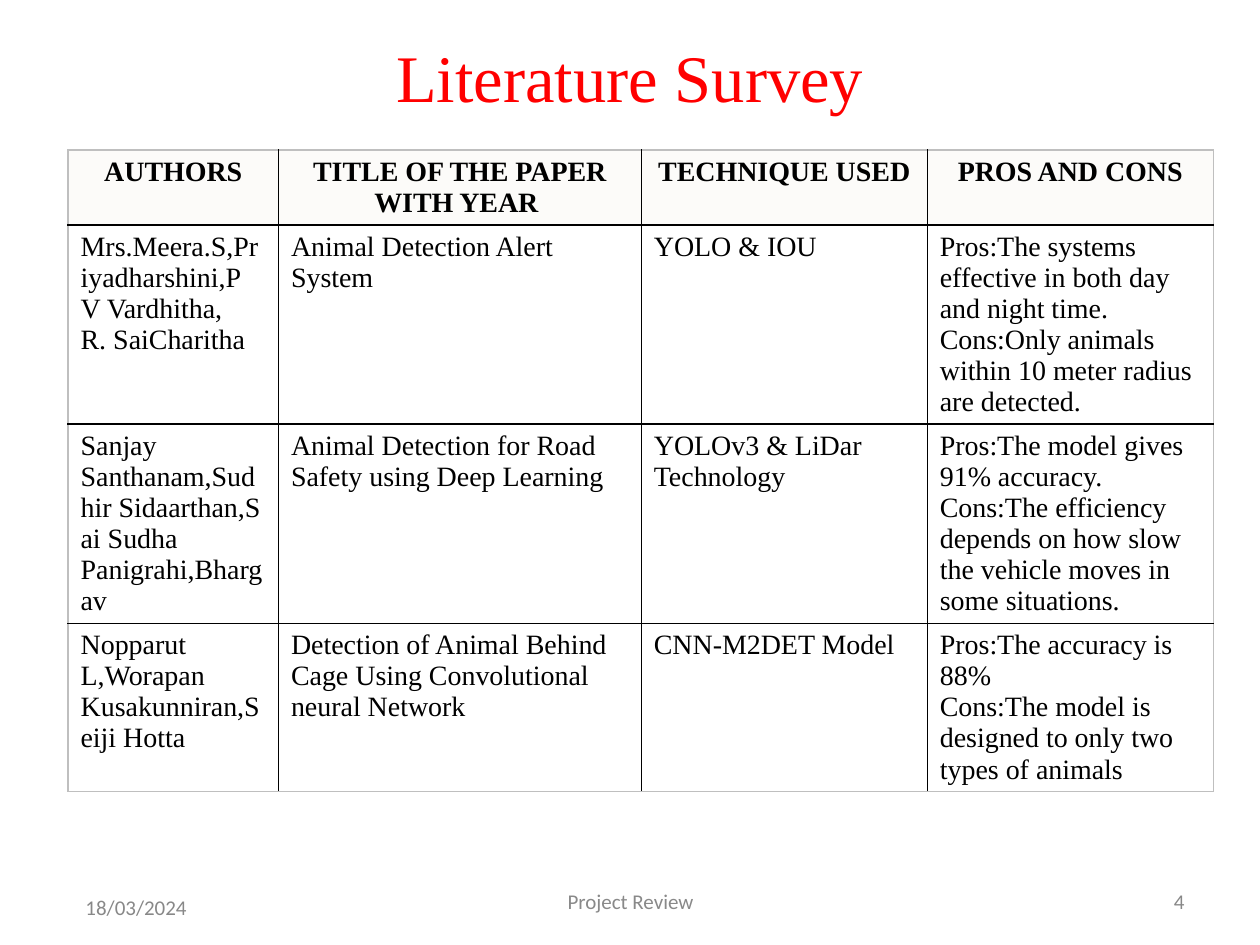
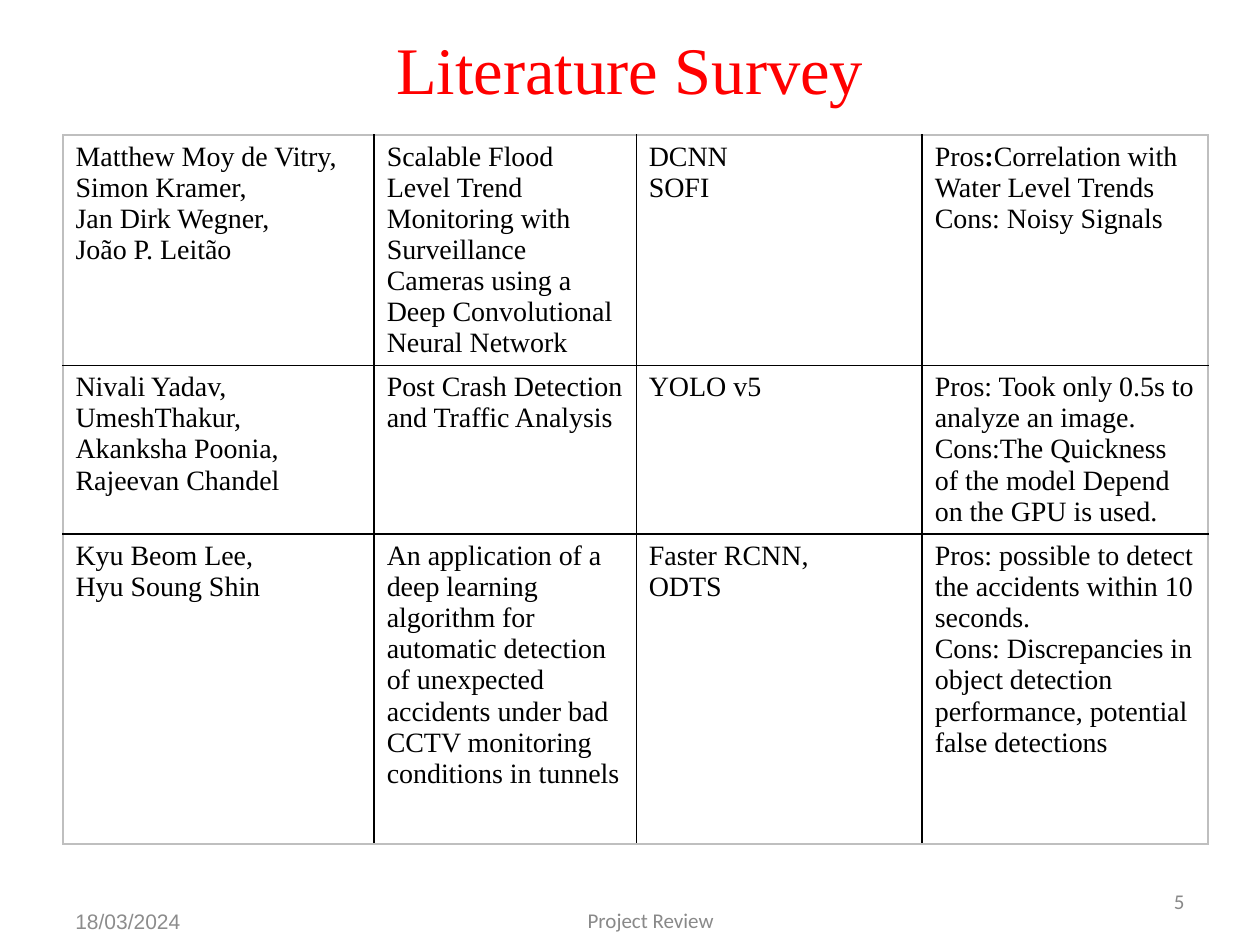
from dataclasses import dataclass

from lxml import etree
from pptx import Presentation
from pptx.dml.color import RGBColor
from pptx.enum.text import MSO_ANCHOR, MSO_AUTO_SIZE, PP_ALIGN
from pptx.oxml.ns import qn
from pptx.util import Inches, Pt

LEFT, CENTER, RIGHT = PP_ALIGN.LEFT, PP_ALIGN.CENTER, PP_ALIGN.RIGHT
MIDDLE = MSO_ANCHOR.MIDDLE
NO_AUTOFIT = MSO_AUTO_SIZE.NONE
TITLE_ONLY = 5
HARD_SPACE = chr(160)


@dataclass(frozen=True)
class Theme:
    serif: str = "Times New Roman"
    sans: str = "Calibri"
    plain: str = "Arial"
    title_color: str = "FF0000"
    text_color: str = "000000"
    number_color: str = "888888"
    footer_color: str = "898989"
    plain_date_color: str = "8C8C8C"
    header_fill: str = "FCFBF9"
    cell_fill: str = "FFFFFF"
    grid: str = "000000"
    frame: str = "BFBFBF"
    title_size: int = 38
    table_size: int = 16
    footer_size: int = 12
    border_width: int = 1


class Deck:
    """Holds the style and the slide being built."""

    def __init__(self, theme):
        self.theme = theme
        self.presentation = Presentation()
        self.presentation.slide_width = Inches(10)
        self.presentation.slide_height = Inches(7.5)
        self.slide = None

    def add_slide(self):
        layout = self.presentation.slide_layouts[TITLE_ONLY]
        self.slide = self.presentation.slides.add_slide(layout)

    def format_font(self, font, name, size, color, bold=False):
        for attribute, value in {"name": name, "size": Pt(size), "bold": bold}.items():
            setattr(font, attribute, value)
        font.color.rgb = RGBColor.from_string(color)

    def add_text(self, frame, text, align, name, size, color, bold=False):
        """One paragraph a line; parts between asterisks are bold."""
        for index, line in enumerate(text.split("\n")):
            paragraph = frame.add_paragraph() if index else frame.paragraphs[0]
            paragraph.alignment = align
            for part, piece in enumerate(line.split("*")):
                run = paragraph.add_run()
                run.text = piece.replace("~", HARD_SPACE)
                self.format_font(run.font, name, size, color, bold or part % 2 == 1)

    def format_frame(self, frame):
        settings = {"word_wrap": True, "auto_size": NO_AUTOFIT, "vertical_anchor": MIDDLE}
        for attribute, value in settings.items():
            setattr(frame, attribute, value)

    def title(self, text, top):
        shape = self.slide.shapes.title
        place = {"left": 0.5, "top": top, "width": 9, "height": 0.87}
        for attribute, value in place.items():
            setattr(shape, attribute, Inches(value))
        self.format_frame(shape.text_frame)
        self.add_text(shape.text_frame, text, CENTER, self.theme.serif,
                      self.theme.title_size, self.theme.title_color)

    def footer(self, text, left, top, width, align, name, color):
        box = self.slide.shapes.add_textbox(
            Inches(left), Inches(top), Inches(width), Inches(0.4))
        self.format_frame(box.text_frame)
        self.add_text(box.text_frame, text, align, name, self.theme.footer_size, color)

    def border(self, cell, side, color):
        properties = cell._tc.get_or_add_tcPr()
        line = etree.SubElement(properties, qn(f"a:ln{side}"),
                                w=str(Pt(self.theme.border_width)))
        fill = etree.SubElement(line, qn("a:solidFill"))
        etree.SubElement(fill, qn("a:srgbClr"), val=color)

    def table(self, left, top, widths, heights, rows, has_header=False):
        theme = self.theme
        table = self.slide.shapes.add_table(
            len(rows), len(widths), Inches(left), Inches(top),
            Inches(sum(widths)), Inches(sum(heights))).table
        table.first_row = has_header
        table.horz_banding = False
        for column, width in zip(table.columns, widths):
            column.width = Inches(width)
        for row, height in zip(table.rows, heights):
            row.height = Inches(height)
        last_row, last_column = len(rows) - 1, len(widths) - 1
        for i, texts in enumerate(rows):
            for j, text in enumerate(texts):
                cell = table.cell(i, j)
                is_header = has_header and i == 0
                # Outer edges are grey, inner lines black
                outer = {"L": j == 0, "R": j == last_column, "T": i == 0, "B": i == last_row}
                for side, is_outer in outer.items():
                    self.border(cell, side, theme.frame if is_outer else theme.grid)
                cell.fill.solid()
                cell.fill.fore_color.rgb = RGBColor.from_string(
                    theme.header_fill if is_header else theme.cell_fill)
                self.add_text(cell.text_frame, text, CENTER if is_header else LEFT,
                              theme.serif, theme.table_size, theme.text_color, is_header)

    def survey_slide(self, number, title_top, table, date, review):
        theme = self.theme
        self.add_slide()
        self.footer(number, 7.17, 6.95, 2.33, RIGHT, theme.sans, theme.number_color)
        self.title("Literature Survey", title_top)
        self.table(**table)
        self.footer("18/03/2024", width=2.33, align=LEFT, **date)
        self.footer("Project Review", width=3.17, align=CENTER,
                    name=theme.sans, color=theme.footer_color, **review)


# Table contents: "~" is a non-breaking space
DETECTION_PAPERS = [
    ["AUTHORS", "TITLE OF THE PAPER WITH YEAR~", "TECHNIQUE USED", "PROS AND CONS"],
    ["Mrs.Meera.S,Priyadharshini,P V Vardhitha,\nR. SaiCharitha",
     "Animal Detection Alert System",
     "YOLO & IOU",
     "Pros:The systems effective in both day and night time.\n"
     "Cons:Only animals within 10 meter radius are detected."],
    ["Sanjay Santhanam,Sudhir~Sidaarthan,Sai Sudha Panigrahi,Bhargav",
     "Animal Detection for Road Safety using Deep Learning~",
     "YOLOv3 & LiDar Technology",
     "Pros:The model gives 91% accuracy.\n"
     "Cons:The efficiency depends on how slow the vehicle moves in some situations."],
    ["Nopparut L,Worapan Kusakunniran,Seiji Hotta",
     "Detection of Animal Behind Cage Using Convolutional neural Network",
     "CNN-M2DET Model",
     "Pros:The accuracy is 88%~\n"
     "Cons:The model is designed to only two types of animals"],
]
MONITORING_PAPERS = [
    ["Matthew Moy de Vitry,\nSimon Kramer,\nJan Dirk Wegner,\nJoão P. Leitão",
     "Scalable Flood Level Trend Monitoring with Surveillance Cameras "
     "using a Deep Convolutional Neural Network",
     "DCNN\nSOFI",
     "Pros*:*Correlation with Water Level Trends\nCons:~Noisy Signals"],
    ["Nivali Yadav,\nUmeshThakur,\nAkanksha Poonia,\nRajeevan Chandel",
     "Post Crash Detection and Traffic Analysis",
     "YOLO v5",
     "Pros: Took only 0.5s to analyze an image.\n"
     "Cons:The Quickness of the model Depend on the GPU is used."],
    ["Kyu Beom Lee,\nHyu Soung Shin",
     "An application of a deep learning algorithm for automatic detection of unexpected\n"
     "accidents under bad CCTV monitoring conditions in tunnels",
     "Faster RCNN,\nODTS",
     "Pros:~possible to detect the accidents within 10 seconds.\n"
     "Cons: Discrepancies in object detection performance, potential false detections"],
]


def main():
    theme = Theme()
    deck = Deck(theme)

    # Animal detection papers
    deck.survey_slide(
        "4", 0.17,
        table={"left": 0.54, "top": 1.19, "widths": [1.67, 2.88, 2.27, 2.27],
               "heights": [0.59, 1.58, 1.58, 1.33], "rows": DETECTION_PAPERS,
               "has_header": True},
        date={"left": 0.58, "top": 7, "name": theme.sans, "color": theme.number_color},
        review={"left": 3.42, "top": 6.95})

    # Flood, crash and tunnel monitoring papers
    deck.survey_slide(
        "5", 0.1,
        table={"left": 0.5, "top": 1.07, "widths": [2.47, 2.08, 2.27, 2.27],
               "heights": [1.83, 1.34, 2.46], "rows": MONITORING_PAPERS},
        date={"left": 0.5, "top": 7.11, "name": theme.plain, "color": theme.plain_date_color},
        review={"left": 3.58, "top": 7.1})

    deck.presentation.save("out.pptx")


if __name__ == "__main__":
    main()
